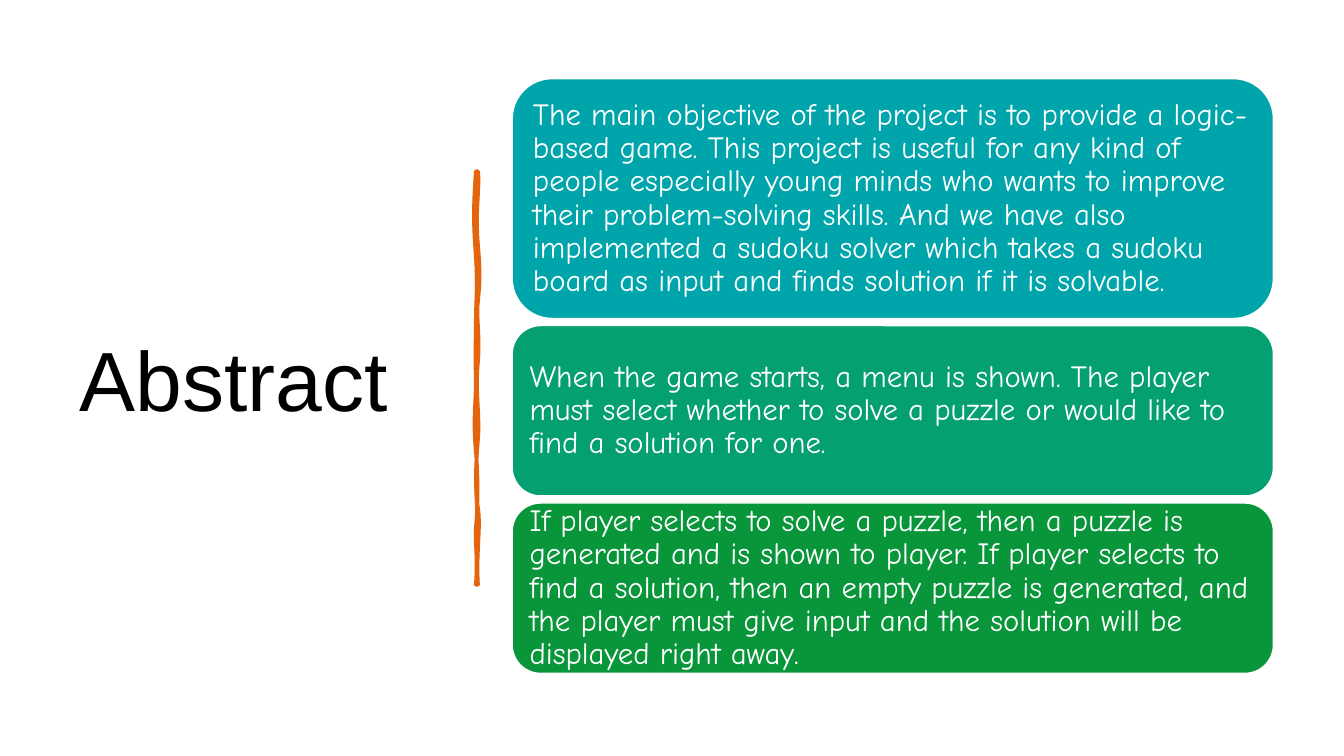
"""Build the Abstract slide: a title, a hand-drawn divider and three text cards."""
import copy

import lxml.etree
import pptx
import pptx.dml.color
import pptx.enum.shapes
import pptx.enum.text
import pptx.oxml.ns
import pptx.util

Inches = pptx.util.Inches
Pt = pptx.util.Pt
qn = pptx.oxml.ns.qn
SHAPES = pptx.enum.shapes.MSO_SHAPE

TITLE = "Abstract"
CARDS = [
    ("The main objective of the project is to provide a logic-based game. This project is useful for any kind of people especially young minds who wants to improve their problem-solving skills. And we have also implemented a sudoku solver which takes a sudoku board as input and finds solution if it is solvable.",
     "00A5AB", 2.38),
    ("When the game starts, a menu is shown. The player must select whether to solve a puzzle or would like to find a solution for one.",
     "05A071", 1.69),
    ("If player selects to solve a puzzle, then a puzzle is generated and is shown to player. If player selects to find a solution, then an empty puzzle is generated, and the player must give input and the solution will be displayed right away.",
     "09963B", 1.69),
]
CARD_LEFT, CARD_TOP, CARD_WIDTH, CARD_GAP = 5.08, 0.78, 7.55, 0.07

DIVIDER_COLOR = "E4650E"
DIVIDER_START = (4.72, 1.7)
DIVIDER_UNITS = 1000
DIVIDER_EDGE = [
    [(4.73, 1.7), (4.73, 1.7), (4.74, 1.7)],
    [(4.76, 1.86), (4.71, 2.07), (4.74, 2.43)],
    [(4.77, 2.79), (4.75, 2.85), (4.74, 2.99)],
    [(4.72, 3.13), (4.76, 3.31), (4.74, 3.59)],
    [(4.71, 3.87), (4.76, 4.13), (4.74, 4.36)],
    [(4.72, 4.58), (4.71, 4.85), (4.74, 5.04)],
    [(4.77, 5.23), (4.72, 5.48), (4.74, 5.8)],
    [(4.73, 5.8), (4.73, 5.8), (4.72, 5.8)],
    [(4.74, 5.54), (4.71, 5.36), (4.72, 5.24)],
    [(4.73, 5.13), (4.75, 4.83), (4.72, 4.48)],
    [(4.69, 4.13), (4.72, 4.06), (4.72, 3.75)],
    [(4.71, 3.45), (4.72, 3.41), (4.72, 3.19)],
    [(4.72, 2.98), (4.74, 2.85), (4.72, 2.55)],
    [(4.7, 2.26), (4.69, 2.12), (4.72, 1.7)],
]
DIVIDER_BODY = [
    [(4.72, 1.7), (4.73, 1.7), (4.74, 1.7)],
    [(4.76, 1.95), (4.75, 2.01), (4.74, 2.26)],
    [(4.73, 2.52), (4.78, 2.8), (4.74, 3.03)],
    [(4.7, 3.26), (4.76, 3.44), (4.74, 3.71)],
    [(4.72, 3.99), (4.74, 4.17), (4.74, 4.31)],
    [(4.74, 4.46), (4.73, 4.63), (4.74, 4.92)],
    [(4.75, 5.2), (4.73, 5.44), (4.74, 5.8)],
    [(4.73, 5.8), (4.72, 5.8), (4.72, 5.8)],
    [(4.71, 5.68), (4.71, 5.36), (4.72, 5.24)],
    [(4.72, 5.13), (4.69, 4.78), (4.72, 4.6)],
    [(4.75, 4.42), (4.73, 4.23), (4.72, 3.96)],
    [(4.71, 3.69), (4.7, 3.43), (4.72, 3.23)],
    [(4.73, 3.04), (4.69, 2.81), (4.72, 2.59)],
    [(4.75, 2.37), (4.74, 2.11), (4.72, 1.7)],
]


def color(value):
    return pptx.dml.color.RGBColor.from_string(value)


def paint(shape, fill, line=None, width=0):
    shape.shadow.inherit = False
    shape.fill.solid()
    shape.fill.fore_color.rgb = color(fill)
    if line:
        shape.line.color.rgb = color(line)
        shape.line.width = Pt(width)
    else:
        shape.line.fill.background()


def bend(outline, curves):
    for straight, curve in zip(outline.findall(qn("a:lnTo")), curves):
        bezier = lxml.etree.Element(qn("a:cubicBezTo"))
        for point in curve:
            x, y = (round((value - start) * DIVIDER_UNITS)
                    for value, start in zip(point, DIVIDER_START))
            lxml.etree.SubElement(bezier, qn("a:pt"), x=str(x), y=str(y))
        outline.replace(straight, bezier)


def add_divider(page):
    def units(point):
        return tuple(value * DIVIDER_UNITS for value in point)

    builder = page.shapes.build_freeform(
        *units(DIVIDER_START), scale=Inches(1) / DIVIDER_UNITS)
    builder.add_line_segments([units(curve[-1]) for curve in DIVIDER_EDGE], close=True)
    divider = builder.convert_to_shape()
    paint(divider, DIVIDER_COLOR, DIVIDER_COLOR, 2.75)
    edge = next(divider.element.iter(qn("a:path")))
    body = copy.deepcopy(edge)
    edge.addnext(body)
    edge.set("fill", "none")
    body.set("stroke", "0")
    bend(edge, DIVIDER_EDGE)
    bend(body, DIVIDER_BODY)


def write(shape, text, font, size, ink, inset, spacing):
    frame = shape.text_frame
    frame.word_wrap = True
    frame.vertical_anchor = pptx.enum.text.MSO_ANCHOR.MIDDLE
    frame.margin_left = frame.margin_right = Inches(inset)
    frame.margin_top = frame.margin_bottom = 0
    frame.text = text
    para = frame.paragraphs[0]
    para.alignment = pptx.enum.text.PP_ALIGN.LEFT
    para.line_spacing = spacing
    span = para.runs[0]
    span.font.name = font
    span.font.size = Pt(size)
    span.font.color.rgb = color(ink)


def main():
    deck = pptx.Presentation()
    deck.slide_width, deck.slide_height = Inches(13.33), Inches(7.5)
    page = deck.slides.add_slide(deck.slide_layouts[6])

    backdrop = page.shapes.add_shape(
        SHAPES.RECTANGLE, 0, 0, deck.slide_width, deck.slide_height)
    paint(backdrop, "FFFFFF")

    title = page.shapes.add_textbox(Inches(0.69), Inches(0.69), Inches(3.74), Inches(6.11))
    write(title, TITLE, "Arial", 60, "000000", 0.1, 1.0)

    add_divider(page)

    top = CARD_TOP
    for text, fill, height in CARDS:
        card = page.shapes.add_shape(
            SHAPES.ROUNDED_RECTANGLE,
            Inches(CARD_LEFT), Inches(top), Inches(CARD_WIDTH), Inches(height))
        paint(card, fill, "FFFFFF", 1)
        write(card, text, "Comic Neue", 22, "FFFFFF", 0.09, 0.9)
        top += height + CARD_GAP

    deck.save("out.pptx")


if __name__ == "__main__":
    main()
